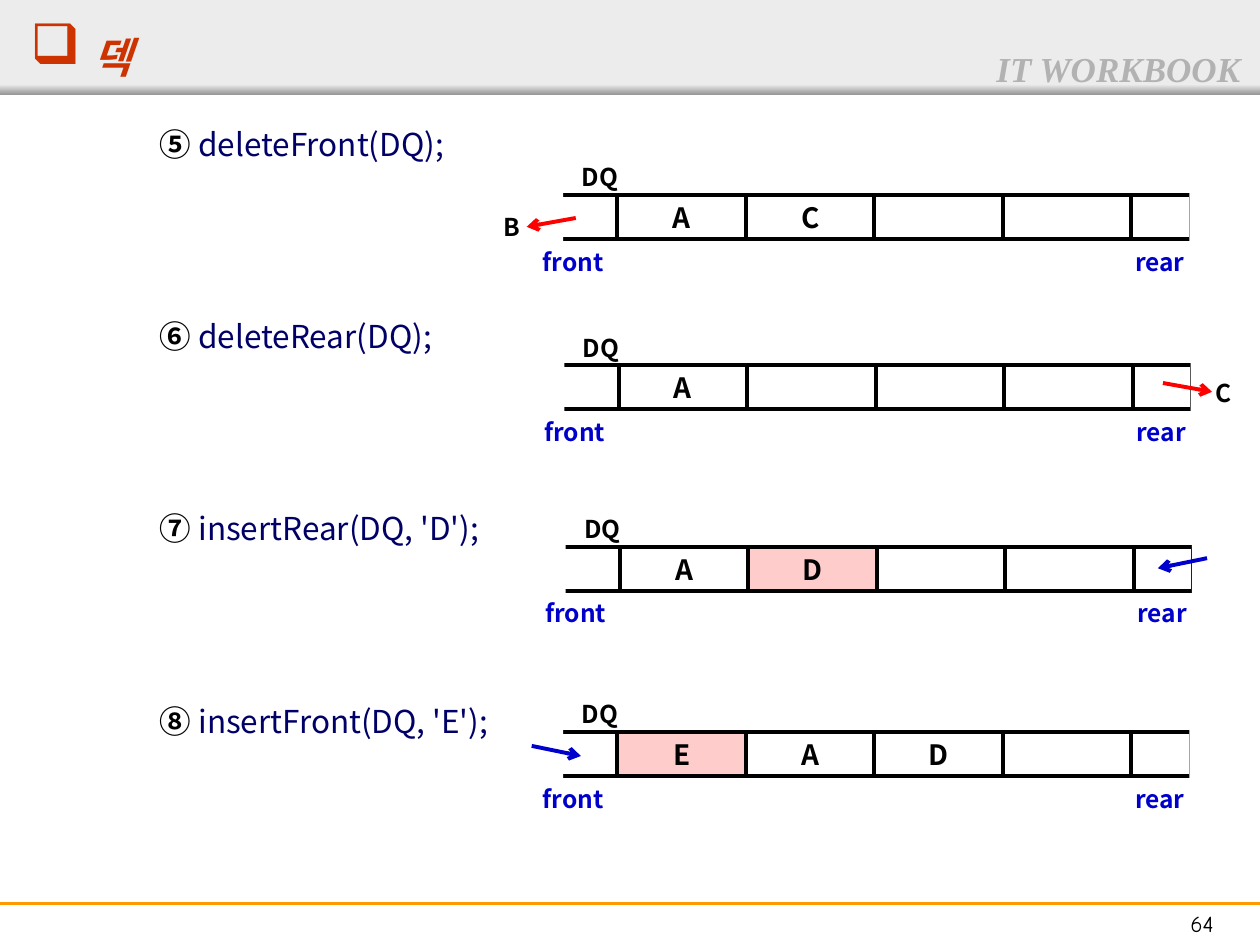
from lxml import etree
from pptx import Presentation
from pptx import util as u
from pptx.dml.color import RGBColor
from pptx.enum import shapes, text
from pptx.oxml.ns import qn

INK = {"black": "000000", "white": "FFFFFF", "navy": "000066", "blue": "0000CC",
       "red": "FF0000", "pink": "FFCCCC", "title": "CC3300", "band": "ECECEC",
       "shade": "979797", "rule": "FF9900", "mark": "B2B2B2"}
SANS = "Noto Sans CJK KR"
LEFT, COL, HIGH = 4.9, 1.02, 0.35   # first full cell, cell width, cell height
CALLS = [("⑤ ", "deleteFront(DQ);"), ("⑥ ", "deleteRear(DQ);"),
         ("⑦ ", "insertRear(DQ, 'D');"), ("⑧ ", "insertFront(DQ, 'E');")]
# x shift, top, cell letters, new cell, arrow (x1, y1, x2, y2 from row), colour, removed
DEQUES = [
    (0, 1.55, ["A", "C", "", ""], None, (4.57, 0.18, 4.18, 0.25), "red", ("B", 3.9, 0.08)),
    (0.01, 2.9, ["A", "", "", ""], None, (9.22, 0.14, 9.61, 0.21), "red", ("C", 9.54, 0.05)),
    (0.02, 4.34, ["A", "D", "", ""], 1, (9.56, 0.09, 9.17, 0.17), "blue", None),
    (0, 5.81, ["E", "A", "D", ""], 0, (4.22, 0.11, 4.61, 0.19), "blue", None),
]


def rgb(name):
    return RGBColor.from_string(INK[name])


def style(run, size, color, bold=False, italic=False, face=SANS):
    font = run.font
    font.size, font.bold, font.italic, font.name = u.Pt(size), bold, italic, face
    font.color.rgb = rgb(color)
    latin = run._r.get_or_add_rPr().find(qn("a:latin"))
    east = etree.Element(qn("a:ea"), typeface=face)
    latin.addnext(east)


def box(slide, x, y, w, h, fill, line=None):
    rect = slide.shapes.add_shape(shapes.MSO_SHAPE.RECTANGLE, *map(u.Inches, (x, y, w, h)))
    rect.shadow.inherit = False
    rect.fill.solid()
    rect.fill.fore_color.rgb = rgb(fill)
    if line:
        rect.line.color.rgb = rgb(line)
        rect.line.width = u.Pt(2.25)
    else:
        rect.line.fill.background()
    return rect


def cell(slide, x, y, w, fill="white", word=""):
    rect = box(slide, x, y, w, HIGH, fill, "black")
    if word:
        frame = rect.text_frame
        frame.text, frame.word_wrap = word, False
        frame.vertical_anchor = text.MSO_ANCHOR.MIDDLE
        frame.paragraphs[0].alignment = text.PP_ALIGN.CENTER
        style(frame.paragraphs[0].runs[0], 16, "black", True)


def label(slide, x, y, w, h, word, size, color, mid=False, wrap=True, **look):
    frame = slide.shapes.add_textbox(*map(u.Inches, (x, y, w, h))).text_frame
    frame.text, frame.word_wrap = word, wrap
    para = frame.paragraphs[0]
    para.alignment = text.PP_ALIGN.CENTER if mid else text.PP_ALIGN.LEFT
    style(para.runs[0], size, color, **look)


def line(slide, x1, y1, x2, y2, color, width, head=False):
    rule = slide.shapes.add_connector(shapes.MSO_CONNECTOR.STRAIGHT,
                                      *map(u.Inches, (x1, y1, x2, y2)))
    rule.line.color.rgb = rgb(color)
    rule.line.width = u.Pt(width)
    if head:
        etree.SubElement(rule.line._get_or_add_ln(), qn("a:tailEnd"), type="arrow")
    etree.SubElement(rule._element.spPr, qn("a:effectLst"))


def frame_page(slide):
    """Header band, series name, footer rule and page number."""
    box(slide, 0, 0, 10, 0.75, "band")
    edge = box(slide, 0, 0.67, 10, 0.08, "band")
    edge.fill.gradient()
    edge.fill.gradient_angle = 270
    for stop, name, place in zip(edge.fill.gradient_stops, ("band", "shade"), (0, 1)):
        stop.color.rgb, stop.position = rgb(name), place
    line(slide, 0, 7.17, 10, 7.17, "rule", 1.5)
    label(slide, 7.81, 0.33, 2.19, 0.44, "IT WORKBOOK", 20, "mark", wrap=False,
          bold=True, italic=True, face="Times New Roman")
    label(slide, 9.08, 7.17, 0.92, 0.32, "64", 13, "black", True, face="Comic Neue")


def head(slide):
    title = slide.shapes.title
    title.left, title.top, title.width, title.height = map(u.Inches, (0.14, 0.14, 9, 0.46))
    frame = title.text_frame
    frame.margin_top = 0
    frame.vertical_anchor = text.MSO_ANCHOR.TOP
    frame.auto_size = text.MSO_AUTO_SIZE.NONE
    para = frame.paragraphs[0]
    para.alignment = text.PP_ALIGN.LEFT
    props = para._p.get_or_add_pPr()
    props.set("marL", "0")
    props.set("indent", "0")
    tint = etree.SubElement(props, qn("a:buClr"))
    etree.SubElement(tint, qn("a:srgbClr"), val=INK["title"])
    etree.SubElement(props, qn("a:buChar"), char="❑")
    for word, size in ((" ", 32), ("덱", 24)):
        run = para.add_run()
        run.text = word
        style(run, size, "title", True, True)
    slide.shapes._spTree.append(title._element)


def list_calls(slide):
    frame = slide.shapes.add_textbox(*map(u.Inches, (1.17, 0.88, 3.2, 6.18))).text_frame
    frame.word_wrap = True
    for i, (mark, call) in enumerate(CALLS):
        para = frame.paragraphs[0] if i == 0 else frame.add_paragraph()
        para.line_spacing = 1.2
        para.space_before = u.Pt(84 if i else 0)
        for word, color in ((mark, "black"), (call, "navy")):
            run = para.add_run()
            run.text = word
            style(run, 18, color, color == "black")


def deque(slide, dx, top, words, new, arrow, color, gone):
    left = LEFT + dx
    right = left + 4 * COL
    cell(slide, left - 0.48, top, 0.48)
    cell(slide, right, top, 0.47)
    for i, word in enumerate(words):
        cell(slide, left + i * COL, top, COL, "pink" if i == new else "white", word)
    # White covers leave both ends of the row open
    for x, w in ((left - 0.67, 0.24), (right + 0.46, 0.17)):
        box(slide, x, top - 0.06, w, 0.47, "white")
    label(slide, left - 0.69, top + 0.36, 0.75, 0.34, "front", 14, "blue", wrap=False, bold=True)
    label(slide, left + 4.01, top + 0.36, 0.61, 0.34, "rear", 14, "blue", wrap=False, bold=True)
    label(slide, left - 0.58, top - 0.31, 0.88, 0.34, "DQ", 14, "black", True, bold=True)
    x1, y1, x2, y2 = arrow
    line(slide, x1 + dx, top + y1, x2 + dx, top + y2, color, 2.25, True)
    if gone:
        word, x, y = gone
        label(slide, x + dx, top + y, 0.33, 0.34, word, 14, "black", wrap=False, bold=True)


def main():
    deck = Presentation()
    deck.slide_width, deck.slide_height = u.Inches(10), u.Inches(7.5)
    slide = deck.slides.add_slide(deck.slide_layouts[5])
    frame_page(slide)
    head(slide)
    list_calls(slide)
    for row in DEQUES:
        deque(slide, *row)
    deck.save("out.pptx")


if __name__ == "__main__":
    main()
